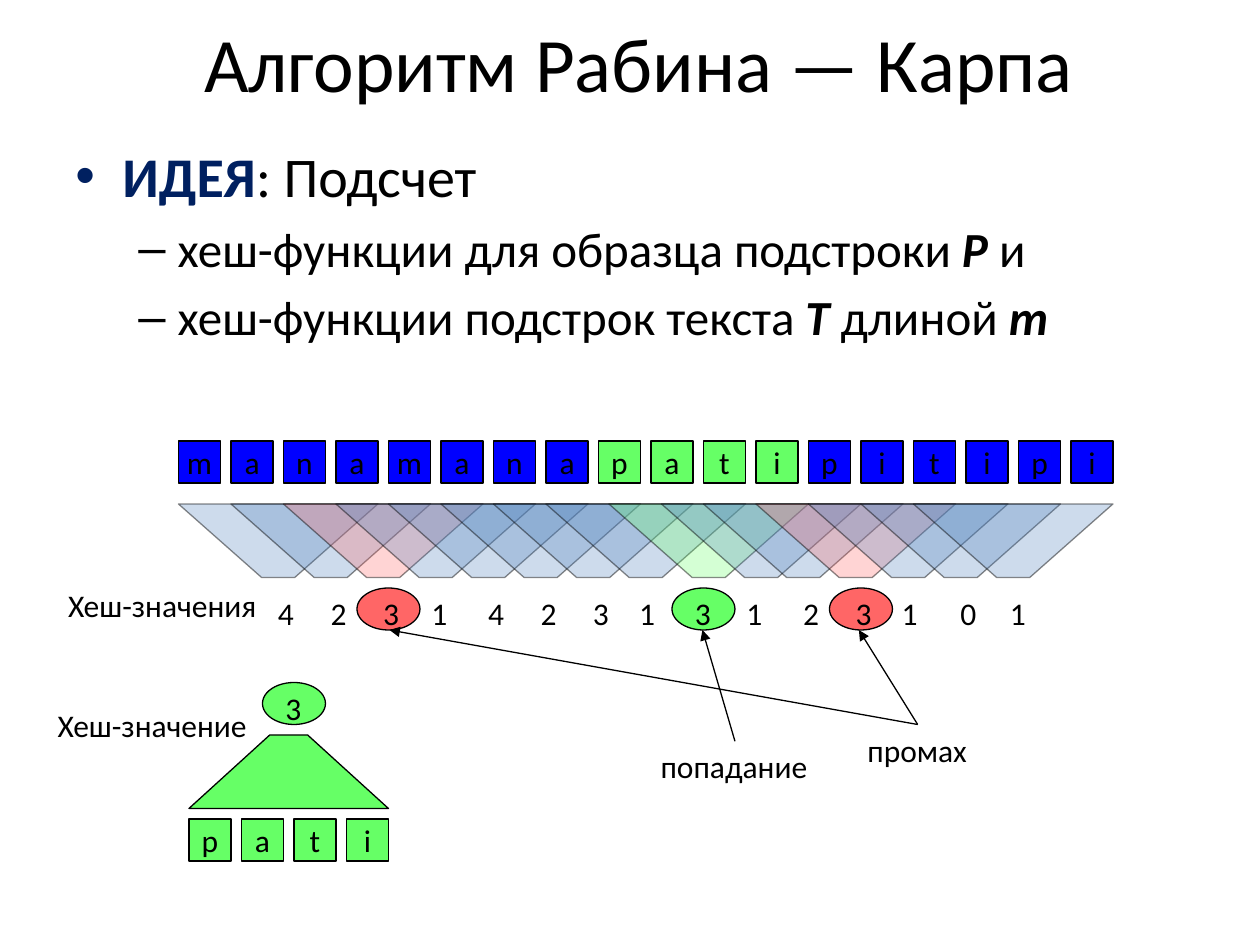
from lxml.etree import SubElement
from pptx import Presentation
from pptx.dml.color import RGBColor
from pptx.enum.shapes import MSO_CONNECTOR as Link, MSO_SHAPE as Form
from pptx.enum.text import MSO_ANCHOR as Anchor, PP_ALIGN as Align
from pptx.oxml.ns import qn
from pptx.util import Cm, Pt

TITLE = "Алгоритм Рабина — Карпа"
IDEA = [
    (0, [("ИДЕЯ", dict(bold=True, color="002060")), (": Подсчет", {})]),
    (1, [("хеш-функции для образца подстроки ", {}),
         ("P ", dict(bold=True, italic=True)), ("и", {})]),
    (1, [("хеш-функции подстрок текста ", {}),
         ("T ", dict(bold=True, italic=True)), ("длиной ", {}),
         ("m", dict(bold=True, italic=True))]),
]
LEVELS = [
    dict(bullet="•", size=32, margin=0.95, indent=-0.95),
    dict(bullet="–", size=28, margin=2.06, indent=-0.79),
]
SEARCHED = "manamanapatipitipi"
PATTERN = "pati"
PATTERN_HASH = "3"
HASHES = "423142313123101"
HIT, MISSES = 8, (2, 11)
WINDOW_NUDGES = {8: 1, 9: 1}
HASH_NUDGES = {3: -0.4, 7: -0.6, 8: -0.3, 9: -0.4, 12: -0.6, 14: -0.3}
LABELS = [
    ("Хеш-значения", 5.2, 55.2, 20.5),
    ("Хеш-значение", 3.2, 66.7, 22.6),
    ("попадание", 60, 70.6, 19.8),
    ("промах", 81, 69, 12.7),
]
ARROWS = [
    ((87.4, 69), (81.8, 60)),
    ((87.4, 69), (37.1, 60)),
    ((70, 70.6), (66.9, 60)),
]
BLACK, BLUE, GREEN, RED, STEEL = "000000", "0000FF", "66FF66", "FF6666", "4F81BD"

UNIT = 2.54 / 12
STEP, CELL = 5, 4
TEXT_LEFT, TEXT_TOP = 17, 42
PATTERN_LEFT, PATTERN_TOP = 18, 78
SPAN = STEP * (len(PATTERN) - 1) + CELL
WINDOW_TOP, WINDOW_BOTTOM, HASH_TOP = 48, 55, 56


def units(*values):
    return [Cm(value * UNIT) for value in values]


def rgb(code):
    return RGBColor.from_string(code)


def write(paragraph, text, size=18, bold=False, italic=False, color=BLACK, align=None):
    run = paragraph.add_run()
    run.text = text
    run.font.name = "Calibri"
    run.font.size = Pt(size)
    run.font.bold, run.font.italic = bold, italic
    run.font.color.rgb = rgb(color)
    if align is not None:
        paragraph.alignment = align


def text_frame(box, wrap=True, anchor=Anchor.TOP):
    frame = box.text_frame
    frame.word_wrap = wrap
    frame.vertical_anchor = anchor
    return frame


def paint(shape, fill, fill_alpha=None, line_alpha=None):
    shape.shadow.inherit = False
    shape.fill.solid()
    shape.fill.fore_color.rgb = rgb(fill)
    shape.line.color.rgb = rgb(BLACK)
    shape.line.width = Pt(0.75)
    properties = shape.fill._xPr
    for parent, alpha in ((properties, fill_alpha), (properties.find(qn("a:ln")), line_alpha)):
        if alpha:
            tone = parent.find(qn("a:solidFill")).find(qn("a:srgbClr"))
            SubElement(tone, qn("a:alpha"), val=str(alpha * 1000))


def add_cells(slide, letters, left, top, colors):
    for index, (letter, color) in enumerate(zip(letters, colors)):
        cell = slide.shapes.add_shape(
            Form.RECTANGLE, *units(left + STEP * index, top, CELL, CELL))
        paint(cell, color)
        frame = text_frame(cell, wrap=False, anchor=Anchor.MIDDLE)
        frame.margin_left = frame.margin_right = frame.margin_top = frame.margin_bottom = 0
        write(frame.paragraphs[0], letter, align=Align.CENTER)


def add_funnel(slide, left, wide_y, narrow_y, inset, fill, **alphas):
    right = left + SPAN
    outline = slide.shapes.build_freeform(*units(left, wide_y))
    corners = [(left + inset, narrow_y), (right - inset, narrow_y), (right, wide_y)]
    outline.add_line_segments([units(*corner) for corner in corners], close=True)
    paint(outline.convert_to_shape(), fill, **alphas)


def add_oval(slide, left, top, color):
    paint(slide.shapes.add_shape(Form.OVAL, *units(left, top, 6, CELL)), color)


def add_label(slide, text, left, top, width, height=4.8, wrap=False):
    box = slide.shapes.add_textbox(*units(left, top, width, height))
    write(text_frame(box, wrap=wrap).paragraphs[0], text, align=Align.CENTER)


def add_arrow(slide, start, end):
    arrow = slide.shapes.add_connector(Link.STRAIGHT, *units(*start, *end))
    arrow.line.color.rgb = rgb(BLACK)
    arrow.line.width = Pt(0.75)
    SubElement(arrow.line._get_or_add_ln(), qn("a:tailEnd"), type="triangle")
    SubElement(arrow._element.spPr, qn("a:effectLst"))


def add_idea(slide):
    box = slide.shapes.add_textbox(Cm(1.27), Cm(2.72), Cm(22.86), Cm(14.3))
    frame = text_frame(box)
    for index, (level, runs) in enumerate(IDEA):
        style = LEVELS[level]
        paragraph = frame.add_paragraph() if index else frame.paragraphs[0]
        paragraph.level = level
        paragraph.space_before = Pt(style["size"] * 0.2)
        properties = paragraph._p.get_or_add_pPr()
        properties.set("marL", str(Cm(style["margin"])))
        properties.set("indent", str(Cm(style["indent"])))
        SubElement(properties, qn("a:buFont"), typeface="Arial")
        SubElement(properties, qn("a:buChar"), char=style["bullet"])
        for text, emphasis in runs:
            write(paragraph, text, size=style["size"], **emphasis)


def hash_color(index, plain):
    return GREEN if index == HIT else RED if index in MISSES else plain


def main():
    deck = Presentation()
    deck.slide_width, deck.slide_height = Cm(25.4), Cm(19.05)
    slide = deck.slides.add_slide(deck.slide_layouts[6])

    heading = slide.shapes.add_textbox(Cm(1.45), Cm(0.36), Cm(22.86), Cm(1.75))
    write(text_frame(heading, anchor=Anchor.MIDDLE).paragraphs[0],
          TITLE, size=44, align=Align.CENTER)
    add_idea(slide)

    matched = range(HIT, HIT + len(PATTERN))
    add_cells(slide, SEARCHED, TEXT_LEFT, TEXT_TOP,
              [GREEN if index in matched else BLUE for index in range(len(SEARCHED))])
    for index, value in enumerate(HASHES):
        shift = STEP * index
        add_funnel(slide, TEXT_LEFT + shift + WINDOW_NUDGES.get(index, 0),
                   WINDOW_TOP, WINDOW_BOTTOM, 7.92, hash_color(index, STEEL),
                   fill_alpha=28, line_alpha=46)
        if index == HIT or index in MISSES:
            add_oval(slide, 24 + shift, HASH_TOP, hash_color(index, STEEL))
        add_label(slide, value, 25.3 + shift + HASH_NUDGES.get(index, 0), HASH_TOP, 3.75, CELL)

    add_cells(slide, PATTERN, PATTERN_LEFT, PATTERN_TOP, [GREEN] * len(PATTERN))
    add_funnel(slide, PATTERN_LEFT, 77, 70, 7.7, GREEN)
    add_oval(slide, 25, 65, GREEN)
    add_label(slide, PATTERN_HASH, 26, 65, 3.75, CELL)

    for label in LABELS:
        add_label(slide, *label, wrap=True)
    for start, end in ARROWS:
        add_arrow(slide, start, end)
    deck.save("out.pptx")


if __name__ == "__main__":
    main()
